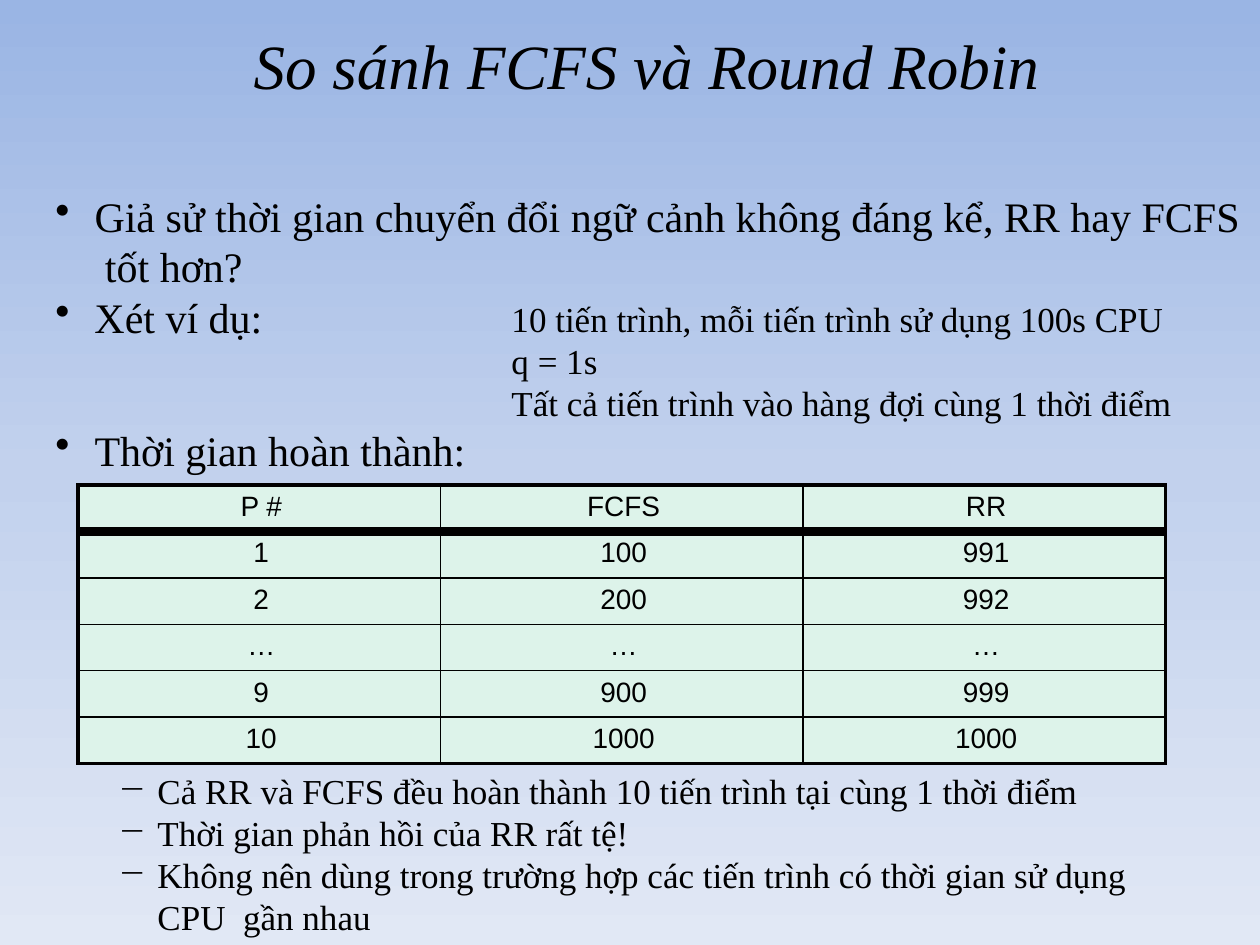
from copy import deepcopy
from dataclasses import dataclass

from lxml import etree
from pptx import Presentation
from pptx import util as u
from pptx.dml.color import RGBColor
from pptx.enum import text
from pptx.oxml.ns import qn

COLORS = {
    "sky_top": "9AB5E4",
    "sky_middle": "C2D1ED",
    "sky_bottom": "E1E8F5",
    "ink": "000000",
    "cell": "DDF3EA",
}
SERIF, SANS = "Times New Roman", "Arial"
THIN, FRAME, HEADER_RULE = 1, 2.25, 6  # table line widths in points


@dataclass
class TextBlock:
    left: float
    top: float
    width: float
    height: float
    size: int
    lines: list[str]
    bullet: str = ""
    is_title: bool = False


BLOCKS = [
    TextBlock(0.42, 1.5, 9.48, 0.83, 24,
              ["Giả sử thời gian chuyển đổi ngữ cảnh không đáng kể, RR hay FCFS  tốt hơn?"], "•"),
    TextBlock(0.42, 2.3, 1.67, 0.43, 24, ["Xét ví dụ:"], "•"),
    TextBlock(4.05, 2.35, 5.4, 1.04, 20,
              ["10 tiến trình, mỗi tiến trình sử dụng 100s CPU",
               "q = 1s",
               "Tất cả tiến trình vào hàng đợi cùng 1 thời điểm"]),
    TextBlock(0.42, 3.36, 3.29, 0.43, 24, ["Thời gian hoàn thành:"], "•"),
    TextBlock(0.92, 6.1, 8.6, 1.36, 20,
              ["Cả RR và FCFS đều hoàn thành 10 tiến trình tại cùng 1 thời điểm",
               "Thời gian phản hồi của RR rất tệ!",
               "Không nên dùng trong trường hợp các tiến trình có thời gian sử dụng CPU  gần nhau"], "−"),
    TextBlock(1.84, 0.19, 6.57, 0.63, 36, ["So sánh FCFS và Round Robin"], is_title=True),
]

COMPLETION_TIMES = [
    ("P #", "FCFS", "RR"),
    ("1", "100", "991"),
    ("2", "200", "992"),
    ("…", "…", "…"),
    ("9", "900", "999"),
    ("10", "1000", "1000"),
]


def rgb(name: str) -> RGBColor:
    return RGBColor.from_string(COLORS[name])


def paint_background(slide) -> None:
    fill = slide.background.fill
    fill.gradient()
    fill.gradient_angle = 270
    first_stop = next(slide._element.iter(qn("a:gs")))
    first_stop.addnext(deepcopy(first_stop))
    names = ("sky_top", "sky_middle", "sky_bottom")
    for stop, name, position in zip(fill.gradient_stops, names, (0, 0.5, 1)):
        stop.color.rgb = rgb(name)
        stop.position = position


def style_paragraph(paragraph, size: int, font_name: str) -> None:
    paragraph.font.size = u.Pt(size)
    paragraph.font.name = font_name
    paragraph.font.color.rgb = rgb("ink")


def set_indent(paragraph, left: float, first: float = 0, bullet: str = "") -> None:
    properties = paragraph._p.get_or_add_pPr()
    properties.set("marL", str(u.Inches(left)))
    properties.set("indent", str(u.Inches(first)))
    if bullet:
        mark = etree.Element(qn("a:buChar"), char=bullet)
        properties.insert_element_before(mark, "a:tabLst", "a:defRPr", "a:extLst")


def add_text(slide, block: TextBlock) -> None:
    shape = slide.shapes.add_textbox(u.Inches(block.left), u.Inches(block.top),
                                     u.Inches(block.width), u.Inches(block.height))
    frame = shape.text_frame
    frame.word_wrap = True
    frame.margin_left = frame.margin_right = frame.margin_bottom = 0
    frame.margin_top = u.Inches(0.01)
    frame.text = "\n".join(block.lines)
    for paragraph in frame.paragraphs:
        style_paragraph(paragraph, block.size, SERIF)
        if block.bullet:
            set_indent(paragraph, 0.33, -0.31, block.bullet)
        else:
            set_indent(paragraph, 0.01)
        if block.is_title:
            paragraph.alignment = text.PP_ALIGN.CENTER
            paragraph.font.italic = True
    frame.paragraphs[0].space_before = u.Pt(1)
    if block.is_title:
        frame.vertical_anchor = text.MSO_ANCHOR.MIDDLE


def set_borders(cell, widths: dict[str, float]) -> None:
    properties = cell._tc.get_or_add_tcPr()
    for index, (side, width) in enumerate(widths.items()):
        line = etree.Element(qn(f"a:ln{side}"), w=str(u.Pt(width)))
        fill = etree.SubElement(line, qn("a:solidFill"))
        etree.SubElement(fill, qn("a:srgbClr"), val=COLORS["ink"])
        properties.insert(index, line)


def add_times_table(slide, rows: list[tuple[str, ...]]) -> None:
    last_row, last_column = len(rows) - 1, len(rows[0]) - 1
    table = slide.shapes.add_table(len(rows), len(rows[0]), u.Inches(0.62), u.Inches(3.85),
                                   u.Inches(8.63), u.Inches(2.21)).table
    for row, values in enumerate(rows):
        for column, value in enumerate(values):
            cell = table.cell(row, column)
            cell.margin_left = cell.margin_right = cell.margin_bottom = 0
            cell.margin_top = u.Inches(0.05)
            cell.fill.solid()
            cell.fill.fore_color.rgb = rgb("cell")
            cell.text = value
            paragraph = cell.text_frame.paragraphs[0]
            style_paragraph(paragraph, 16, SANS)
            paragraph.font.bold = False
            paragraph.alignment = text.PP_ALIGN.CENTER
            paragraph.space_before = u.Pt(3.4)
            set_indent(paragraph, 0.03)
            set_borders(cell, {
                "L": FRAME if column == 0 else THIN,
                "R": FRAME if column == last_column else THIN,
                "T": {0: FRAME, 1: HEADER_RULE}.get(row, THIN),
                "B": {0: HEADER_RULE, last_row: FRAME}.get(row, THIN),
            })


def main() -> None:
    presentation = Presentation()
    presentation.slide_width = u.Inches(10)
    presentation.slide_height = u.Inches(7.5)
    slide = presentation.slides.add_slide(presentation.slide_layouts[6])

    paint_background(slide)
    # Completion times under both schedulers
    add_times_table(slide, COMPLETION_TIMES)
    # Title, questions and conclusions
    for block in BLOCKS:
        add_text(slide, block)

    presentation.save("out.pptx")


if __name__ == "__main__":
    main()
